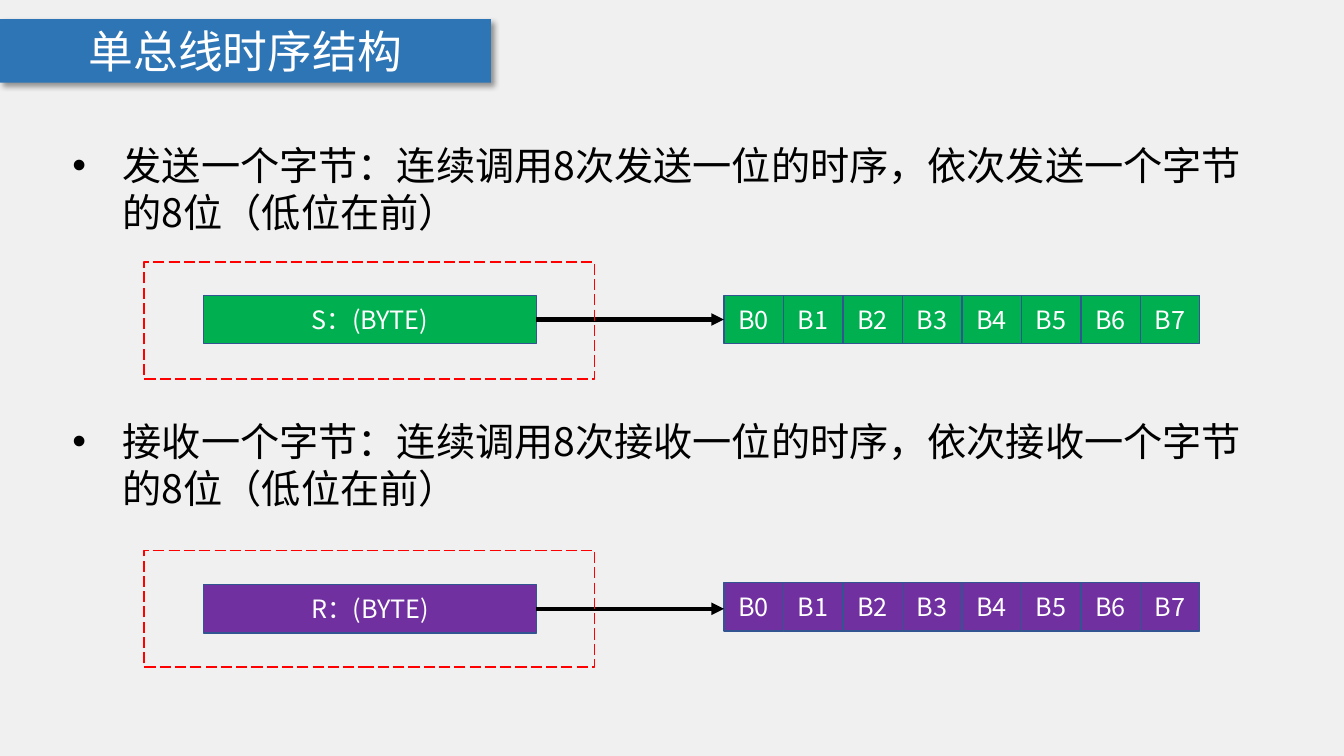
from dataclasses import dataclass

from lxml import etree
from pptx import Presentation
from pptx import util as u
from pptx.dml.color import RGBColor
from pptx.enum import dml, shapes, text
from pptx.oxml import parse_xml
from pptx.oxml.ns import nsdecls, qn

Inches, Pt = u.Inches, u.Pt


@dataclass(frozen=True)
class Theme:
    font: str = "Noto Sans CJK SC"
    background: str = "F0F0F0"
    banner: str = "2E75B6"
    send: str = "00B050"
    receive: str = "7030A0"
    outline: str = "325491"
    frame: str = "FF0000"
    ink: str = "000000"
    white: str = "FFFFFF"
    title_size: int = 32
    body_size: int = 28
    label_size: int = 18
    body_pitch: float = 33.6


class TimingSlide:
    """Holds the theme and the current slide; one method per kind of element."""

    def __init__(self, prs, theme):
        self.theme = theme
        self.slide = prs.slides.add_slide(prs.slide_layouts[5])
        fill = self.slide.background.fill
        fill.solid()
        fill.fore_color.rgb = RGBColor.from_string(theme.background)

    def set_words(self, shape, words, size, color, align):
        frame = shape.text_frame
        frame.word_wrap = True
        paragraph = frame.paragraphs[0]
        paragraph.alignment = align
        run = paragraph.add_run()
        run.text = words
        style = {"name": self.theme.font, "size": Pt(size), "bold": False}
        for attribute, value in style.items():
            setattr(run.font, attribute, value)
        run.font.color.rgb = RGBColor.from_string(color)
        latin = run.font._element.find(qn("a:latin"))
        east_asian = etree.Element(qn("a:ea"), typeface=self.theme.font)
        latin.addnext(east_asian)
        return paragraph

    def title(self, words, left, top, width, height):
        banner = self.slide.shapes.title
        place = {"left": left, "top": top, "width": width, "height": height}
        for attribute, value in place.items():
            setattr(banner, attribute, Inches(value))
        banner.fill.solid()
        banner.fill.fore_color.rgb = RGBColor.from_string(self.theme.banner)
        banner.text_frame.auto_size = text.MSO_AUTO_SIZE.NONE
        banner.text_frame.vertical_anchor = text.MSO_ANCHOR.MIDDLE
        self.set_words(banner, words, self.theme.title_size, self.theme.white,
                       text.PP_ALIGN.CENTER)
        banner._element.spPr.append(parse_xml(
            f'<a:effectLst {nsdecls("a")}>'
            '<a:outerShdw blurRad="50800" dist="38100" dir="2700000" algn="tl" rotWithShape="0">'
            '<a:srgbClr val="000000"><a:alpha val="40000"/></a:srgbClr>'
            '</a:outerShdw></a:effectLst>'))

    def bullet(self, words, left, top, width, height):
        box = self.slide.shapes.add_textbox(*map(Inches, (left, top, width, height)))
        paragraph = self.set_words(box, words, self.theme.body_size, self.theme.ink,
                                   text.PP_ALIGN.LEFT)
        paragraph.line_spacing = Pt(self.theme.body_pitch)
        properties = paragraph._p.get_or_add_pPr()
        properties.set("marL", str(Inches(0.5)))
        properties.set("indent", str(Inches(-0.5)))
        etree.SubElement(properties, qn("a:buFont"), typeface="Arial")
        etree.SubElement(properties, qn("a:buChar"), char="•")

    def rectangle(self, left, top, width, height, line):
        block = self.slide.shapes.add_shape(
            shapes.MSO_SHAPE.RECTANGLE, *map(Inches, (left, top, width, height)))
        block.shadow.inherit = False
        block.line.color.rgb = RGBColor.from_string(line)
        block.line.width = Pt(1)
        return block

    def block(self, words, fill, left, top, width, height):
        block = self.rectangle(left, top, width, height, self.theme.outline)
        block.fill.solid()
        block.fill.fore_color.rgb = RGBColor.from_string(fill)
        block.text_frame.vertical_anchor = text.MSO_ANCHOR.MIDDLE
        self.set_words(block, words, self.theme.label_size, self.theme.white,
                       text.PP_ALIGN.CENTER)
        return block

    def dashed_frame(self, left, top, width, height):
        frame = self.rectangle(left, top, width, height, self.theme.frame)
        frame.fill.background()
        frame.line.dash_style = dml.MSO_LINE.LONG_DASH

    def arrow(self, source, target):
        """Level arrow from the right side of source to the left side of target."""
        level = source.top + source.height // 2
        arrow = self.slide.shapes.add_connector(
            shapes.MSO_CONNECTOR.STRAIGHT, source.left + source.width, level,
            target.left, level)
        arrow.begin_connect(source, 3)
        if level == target.top + target.height // 2:
            arrow.end_connect(target, 1)
        arrow.line.color.rgb = RGBColor.from_string(self.theme.ink)
        arrow.line.width = Pt(3)
        etree.SubElement(arrow.line._get_or_add_ln(), qn("a:tailEnd"), type="triangle")
        etree.SubElement(arrow._element.spPr, qn("a:effectLst"))


def main():
    prs = Presentation()
    prs.slide_width, prs.slide_height = Inches(13.33), Inches(7.5)
    theme = Theme()
    timing = TimingSlide(prs, theme)
    timing.title("单总线时序结构", 0, 0.19, 4.87, 0.63)

    # Per direction: verb, byte label, colour, tops of bullet, bits, byte and frame
    directions = [
        ("发送", "S：(BYTE)", theme.send, 1.35, 2.93, 2.93, 2.6),
        ("接收", "R：(BYTE)", theme.receive, 4.09, 5.78, 5.8, 5.46),
    ]
    bit_left, bit_width, block_height = 7.18, 0.59, 0.48
    for verb, label, color, bullet_top, bits_top, byte_top, frame_top in directions:
        # Explanation
        timing.bullet(f"{verb}一个字节：连续调用8次{verb}一位的时序，"
                      f"依次{verb}一个字节的8位（低位在前）",
                      0.62, bullet_top, 12.08, 1.04)
        # Eight bits, lowest first
        bits = [timing.block(f"B{i}", color, bit_left + i * bit_width, bits_top,
                             bit_width, block_height) for i in range(8)]
        # Byte, arrow to the bits, and dashed frame
        byte = timing.block(label, color, 2.02, byte_top, 3.3, block_height)
        timing.arrow(byte, bits[0])
        timing.dashed_frame(1.43, frame_top, 4.47, 1.16)

    prs.save("out.pptx")


if __name__ == "__main__":
    main()
